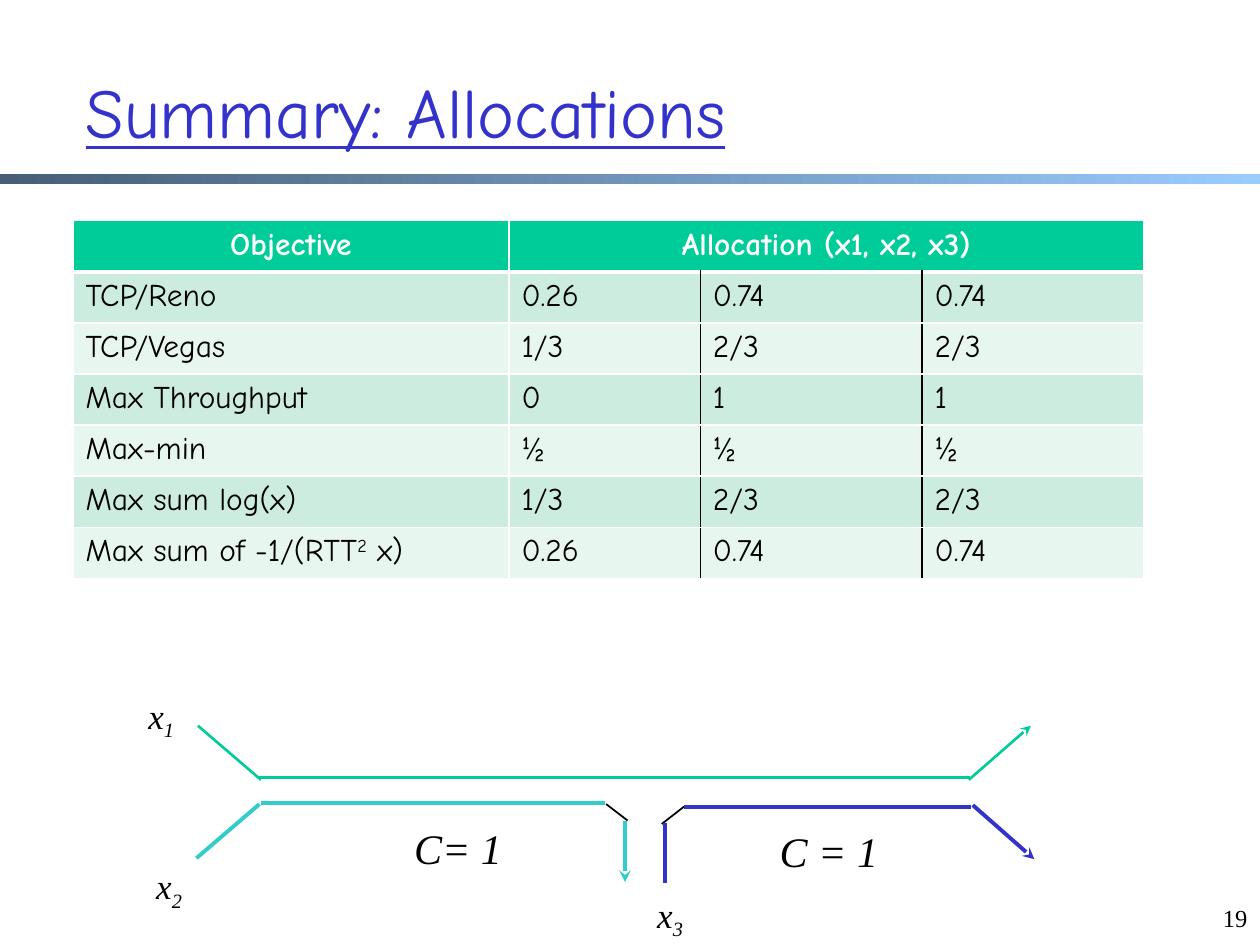
from dataclasses import dataclass

from lxml import etree
from pptx import Presentation
from pptx.dml.color import RGBColor
from pptx.enum.shapes import MSO_CONNECTOR, MSO_SHAPE
from pptx.enum.text import MSO_ANCHOR, MSO_AUTO_SIZE, PP_ALIGN
from pptx.oxml.ns import qn
from pptx.util import Cm, Pt

STRAIGHT = MSO_CONNECTOR.STRAIGHT
RECTANGLE = MSO_SHAPE.RECTANGLE
MIDDLE = MSO_ANCHOR.MIDDLE
NO_AUTOFIT = MSO_AUTO_SIZE.NONE
FIT_SHAPE = MSO_AUTO_SIZE.SHAPE_TO_FIT_TEXT
LEFT, CENTER, RIGHT = PP_ALIGN.LEFT, PP_ALIGN.CENTER, PP_ALIGN.RIGHT

BLACK = RGBColor(0x00, 0x00, 0x00)
WHITE = RGBColor(0xFF, 0xFF, 0xFF)
BLUE = RGBColor(0x33, 0x33, 0xCC)
GREEN = RGBColor(0x00, 0xCC, 0x99)
CYAN = RGBColor(0x33, 0xCC, 0xCC)
BAR_DARK = RGBColor(0x47, 0x5E, 0x76)
BAR_LIGHT = RGBColor(0x99, 0xCC, 0xFF)
BANDS = (RGBColor(0xCB, 0xEC, 0xDE), RGBColor(0xE7, 0xF6, 0xEF))

COMIC = "Comic Neue"
TIMES = "Times New Roman"

Span = tuple[str, int]


@dataclass(frozen=True)
class FlowLine:
    start: tuple[float, float]
    end: tuple[float, float]
    color: RGBColor
    width: float
    arrow: bool = False


@dataclass(frozen=True)
class Label:
    spans: tuple[Span, ...]
    left: float
    top: float
    width: float
    height: float
    size: int
    align: PP_ALIGN = LEFT
    italic: bool = True
    auto_size: MSO_AUTO_SIZE = FIT_SHAPE


HEADERS = ("Objective", "Allocation (x1, x2, x3)")
COLUMN_WIDTHS = (8.79, 3.86, 4.47, 4.47)
ROW_HEIGHT = 1.03
ALLOCATIONS = (
    ((("TCP/Reno", 0),), "0.26", "0.74", "0.74"),
    ((("TCP/Vegas", 0),), "1/3", "2/3", "2/3"),
    ((("Max Throughput", 0),), "0", "1", "1"),
    ((("Max-min", 0),), "½", "½", "½"),
    ((("Max sum log(x)", 0),), "1/3", "2/3", "2/3"),
    ((("Max sum of -1/(RTT", 0), ("2", 30), (" x)", 0)), "0.26", "0.74", "0.74"),
)

FLOW_LINES = (
    FlowLine((12.22, 16.21), (12.65, 16.54), BLACK, 1),
    FlowLine((13.79, 16.26), (13.34, 16.61), BLACK, 1),
    FlowLine((3.99, 14.63), (5.26, 15.72), GREEN, 1.5),
    FlowLine((5.23, 15.67), (19.56, 15.67), GREEN, 1.5),
    FlowLine((19.53, 15.72), (20.78, 14.63), GREEN, 1.5, arrow=True),
    FlowLine((5.26, 16.18), (12.19, 16.18), CYAN, 2.25),
    FlowLine((5.23, 16.21), (3.96, 17.3), CYAN, 2.25),
    FlowLine((12.6, 16.56), (12.6, 17.78), CYAN, 2.25, arrow=True),
    FlowLine((13.41, 16.59), (13.41, 17.81), BLUE, 2.25),
    FlowLine((13.79, 16.26), (19.58, 16.26), BLUE, 2.25),
    FlowLine((19.61, 16.23), (20.85, 17.32), BLUE, 2.25, arrow=True),
)

FLOW_NAMES = tuple(
    Label((("x", 0), (index, -25)), left, top, 1.04, 1.09, 20)
    for index, left, top in (("1", 2.74, 13.87), ("2", 2.9, 17.3), ("3", 13, 17.88))
)
LABELS = FLOW_NAMES + (
    Label((("C= 1", 0),), 8.08, 16.46, 2.31, 1.3, 24, CENTER),
    Label((("C = 1", 0),), 15.41, 16.51, 2.6, 1.27, 24, CENTER),
    Label((("19", 0),), 24.13, 18.08, 1.27, 1.27, 14, RIGHT,
          italic=False, auto_size=NO_AUTOFIT),
)


def write(para, spans: tuple[Span, ...], *, size: int, font: str, color: RGBColor,
          align: PP_ALIGN = LEFT, bold: bool = False, italic: bool = False,
          underline: bool = False) -> None:
    para.alignment = align
    for text, baseline in spans:
        span = para.add_run()
        span.text = text
        span.font.size = Pt(size)
        span.font.name = font
        span.font.color.rgb = color
        span.font.bold = bold
        span.font.italic = italic
        span.font.underline = underline
        if baseline:
            span.font._element.set("baseline", str(baseline * 1000))


def set_border(cell, side: str, color: RGBColor, width: float) -> None:
    properties = cell._tc.get_or_add_tcPr()
    border = etree.SubElement(properties, qn(f"a:ln{side}"), w=str(Pt(width)))
    fill = etree.SubElement(border, qn("a:solidFill"))
    etree.SubElement(fill, qn("a:srgbClr"), val=str(color))


def style_cell(cell, row: int, column: int) -> None:
    left = BLACK if row and column > 1 else WHITE
    right = BLACK if row and column in (1, 2) else WHITE
    set_border(cell, "L", left, 1)
    set_border(cell, "R", right, 1)
    set_border(cell, "T", WHITE, 3 if row == 1 else 1)
    set_border(cell, "B", WHITE, 3 if row == 0 else 1)
    cell.fill.solid()
    cell.fill.fore_color.rgb = BANDS[(row - 1) % 2] if row else GREEN


def draw_title(page) -> None:
    title = page.shapes.title
    title.left, title.top = Cm(1.47), Cm(0.64)
    title.width, title.height = Cm(21.59), Cm(3.18)
    title.text_frame.vertical_anchor = MIDDLE
    title.text_frame.auto_size = NO_AUTOFIT
    write(title.text_frame.paragraphs[0], (("Summary: Allocations", 0),),
          size=40, font=COMIC, color=BLUE, underline=True)


def draw_bar(page) -> None:
    bar = page.shapes.add_shape(RECTANGLE, 0, Cm(3.51), Cm(25.4), Cm(0.2))
    bar.shadow.inherit = False
    bar.line.fill.background()
    bar.fill.gradient()
    bar.fill.gradient_angle = 0
    for stop, color in zip(bar.fill.gradient_stops, (BAR_DARK, BAR_LIGHT)):
        stop.color.rgb = color


def draw_table(page) -> None:
    row_count = len(ALLOCATIONS) + 1
    table = page.shapes.add_table(
        row_count, len(COLUMN_WIDTHS), Cm(1.47), Cm(4.45),
        Cm(sum(COLUMN_WIDTHS)), Cm(ROW_HEIGHT * row_count)).table
    for column, width in zip(table.columns, COLUMN_WIDTHS):
        column.width = Cm(width)
    for row_index, row in enumerate(table.rows):
        row.height = Cm(ROW_HEIGHT)
        for column_index, cell in enumerate(row.cells):
            style_cell(cell, row_index, column_index)
    table.cell(0, 1).merge(table.cell(0, 3))
    for column_index, header in enumerate(HEADERS):
        write(table.cell(0, column_index).text_frame.paragraphs[0], ((header, 0),),
              size=18, font=COMIC, color=WHITE, align=CENTER, bold=True)
    for row_index, (objective, *values) in enumerate(ALLOCATIONS, start=1):
        contents = [objective, *(((value, 0),) for value in values)]
        for column_index, spans in enumerate(contents):
            write(table.cell(row_index, column_index).text_frame.paragraphs[0], spans,
                  size=18, font=COMIC, color=BLACK)


def draw_flow_line(page, flow: FlowLine) -> None:
    line = page.shapes.add_connector(
        STRAIGHT, *(Cm(value) for value in flow.start + flow.end))
    line.line.color.rgb = flow.color
    line.line.width = Pt(flow.width)
    if flow.arrow:
        etree.SubElement(line.line._get_or_add_ln(), qn("a:tailEnd"), type="stealth")
    etree.SubElement(line._element.spPr, qn("a:effectLst"))


def draw_label(page, label: Label) -> None:
    box = page.shapes.add_textbox(
        Cm(label.left), Cm(label.top), Cm(label.width), Cm(label.height))
    box.text_frame.word_wrap = False
    box.text_frame.auto_size = label.auto_size
    write(box.text_frame.paragraphs[0], label.spans, size=label.size, font=TIMES,
          color=BLACK, align=label.align, italic=label.italic)


deck = Presentation()
deck.slide_width, deck.slide_height = Cm(25.4), Cm(19.05)
page = deck.slides.add_slide(deck.slide_layouts[5])
draw_bar(page)
draw_title(page)
draw_table(page)
for flow in FLOW_LINES:
    draw_flow_line(page, flow)
for label in LABELS:
    draw_label(page, label)
deck.save("out.pptx")
